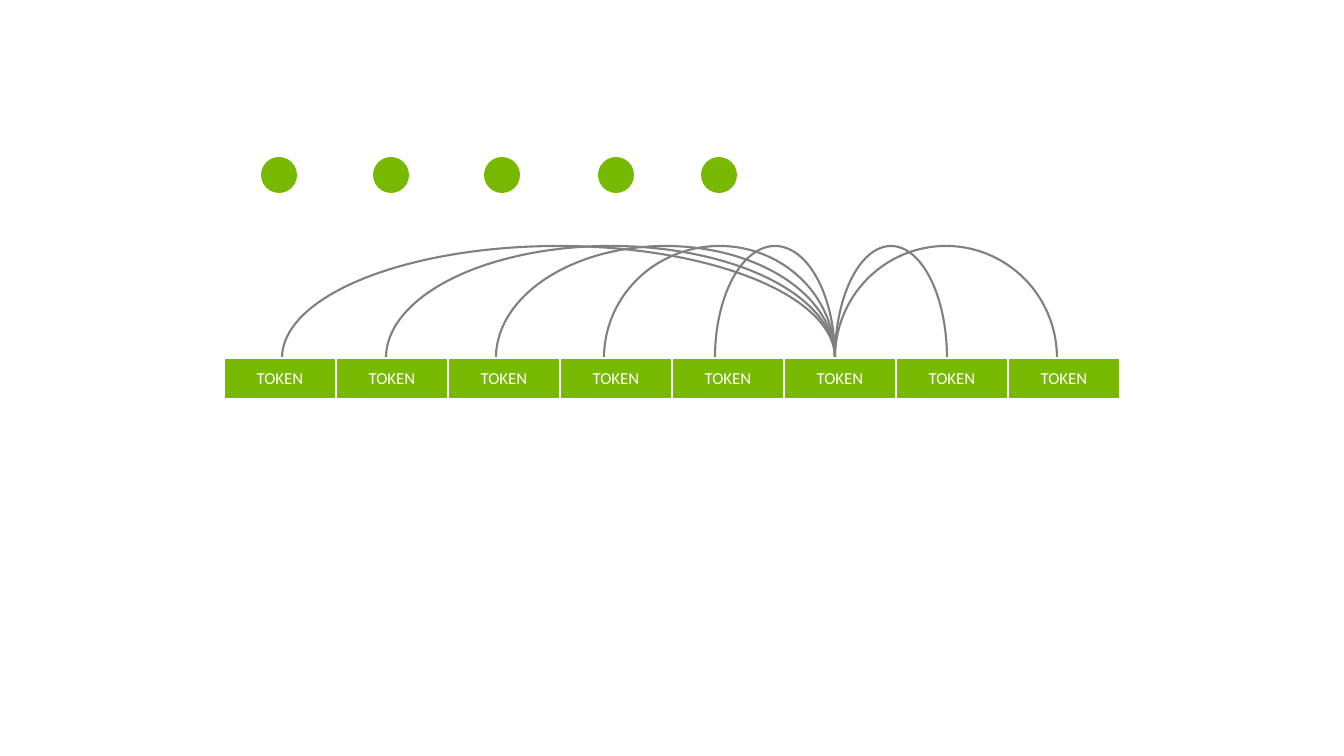
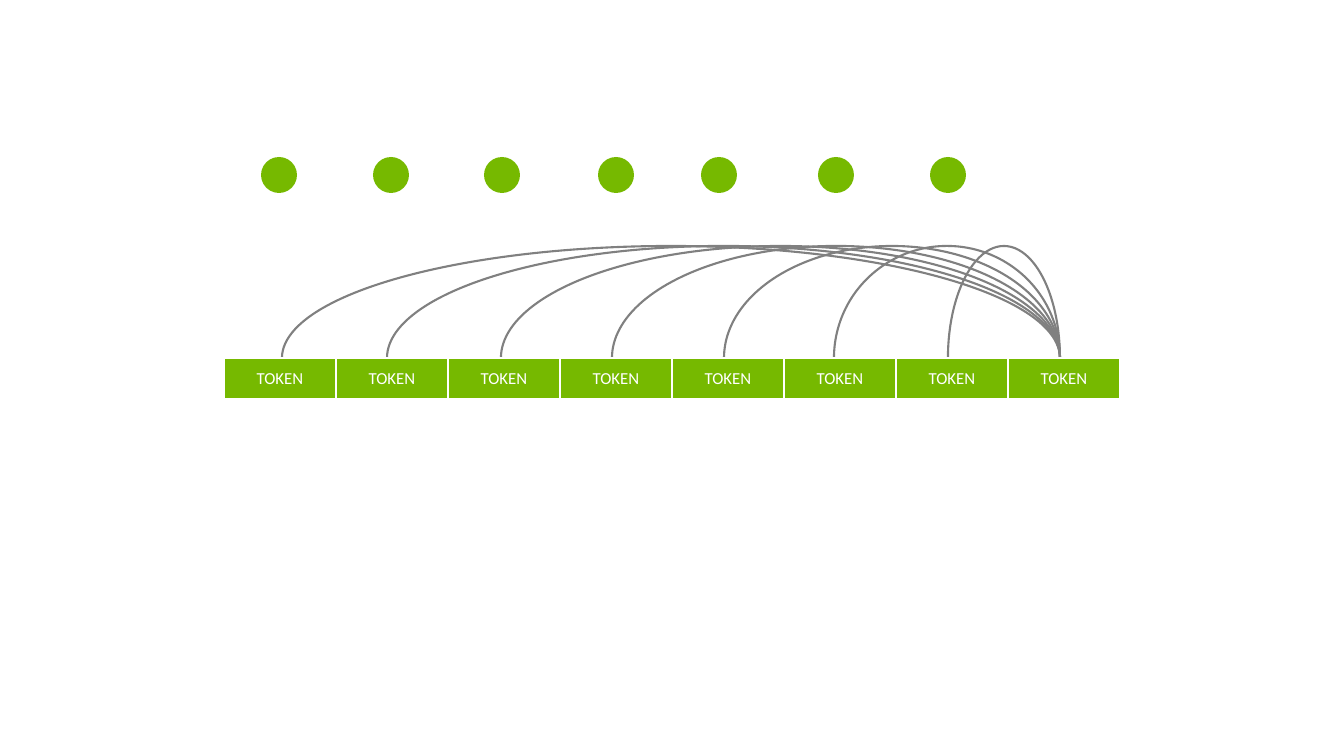
from dataclasses import dataclass
from typing import Any

from pptx import Presentation
from pptx.dml.color import RGBColor
from pptx.enum.shapes import MSO_SHAPE
from pptx.enum.text import MSO_ANCHOR, PP_ALIGN
from pptx.oxml import parse_xml
from pptx.oxml.ns import nsdecls
from pptx.util import Emu, Pt

SCALE = 914400 / 100.8
WIDTH, HEIGHT = 1344, 756
GREEN, GRAY, WHITE = "76B900", "808080", "FFFFFF"
BLANK = 6

COUNT = 8
ROW_LEFT, ROW_TOP, CELL_W, CELL_H = 224, 358, 112, 41
DOT_TOP, DOT_SIZE = 157, 36
ARC_TOP, ARC_H = 246, 224
HALF_TURN = (107.94, 0.08)
TEXT = {"name": "Calibri", "size": Pt(12), "bold": False}


@dataclass(frozen=True)
class Scene:
    """One attention step: arcs join the focus to the ends, dots sit above."""
    focus: int
    ends: tuple[int, ...]
    dots: tuple[int, ...]


DOTS = (261, 373, 484, 598, 701, 818, 930)
SCENES = (
    Scene(835, (282, 386, 496, 604, 715, 947, 1057), DOTS[:5]),
    Scene(1060, (282, 387, 501, 612, 724, 834, 948), DOTS),
)


def px(value: int) -> Emu:
    """Turn picture pixels into EMU."""
    return Emu(round(value * SCALE))


def color(code: str) -> RGBColor:
    """Turn a hex string into a colour."""
    return RGBColor.from_string(code)


def apply(target: Any, values: dict[str, Any]) -> None:
    """Set each named value on the target."""
    for name, value in values.items():
        setattr(target, name, value)


def shape(slide: Any, kind: MSO_SHAPE, left: int, top: int,
          width: int, height: int) -> Any:
    """Add a preset shape without a shadow."""
    item = slide.shapes.add_shape(kind, px(left), px(top), px(width), px(height))
    item.shadow.inherit = False
    return item


def arc(slide: Any, start: int, end: int) -> None:
    """Draw the upper half of an oval between two x positions."""
    item = shape(slide, MSO_SHAPE.ARC, min(start, end), ARC_TOP,
                 abs(end - start), ARC_H)
    for index, value in enumerate(HALF_TURN):
        item.adjustments[index] = value
    item.fill.background()
    item.line.color.rgb = color(GRAY)
    item.line.width = Pt(1.5)


def dot(slide: Any, left: int) -> None:
    """Draw one green dot."""
    item = shape(slide, MSO_SHAPE.OVAL, left, DOT_TOP, DOT_SIZE, DOT_SIZE)
    item.fill.solid()
    item.fill.fore_color.rgb = color(GREEN)
    item.line.fill.background()


def border(cell: Any) -> None:
    """Give a cell thin white borders on all sides."""
    props = cell._tc.get_or_add_tcPr()
    for index, side in enumerate("LRTB"):
        props.insert(index, parse_xml(
            f'<a:ln{side} {nsdecls("a")} w="{Pt(1)}"><a:solidFill>'
            f'<a:srgbClr val="{WHITE}"/></a:solidFill></a:ln{side}>'))


def tokens(slide: Any) -> None:
    """Draw the row of token cells as a table."""
    table = slide.shapes.add_table(
        1, COUNT, px(ROW_LEFT), px(ROW_TOP),
        px(CELL_W * COUNT), px(CELL_H)).table
    apply(table, {"first_row": False, "horz_banding": False})
    for cell in table.iter_cells():
        cell.text = "TOKEN"
        cell.vertical_anchor = MSO_ANCHOR.MIDDLE
        cell.fill.solid()
        cell.fill.fore_color.rgb = color(GREEN)
        border(cell)
        para = cell.text_frame.paragraphs[0]
        para.alignment = PP_ALIGN.CENTER
        font = para.runs[0].font
        apply(font, TEXT)
        font.color.rgb = color(WHITE)


def draw(deck: Any, scene: Scene) -> None:
    """Add a slide for one scene."""
    slide = deck.slides.add_slide(deck.slide_layouts[BLANK])
    for end in scene.ends:
        arc(slide, scene.focus, end)
    for left in scene.dots:
        dot(slide, left)
    tokens(slide)


def main() -> None:
    """Build and save the deck."""
    deck = Presentation()
    apply(deck, {"slide_width": px(WIDTH), "slide_height": px(HEIGHT)})
    for scene in SCENES:
        draw(deck, scene)
    deck.save("out.pptx")


main()
